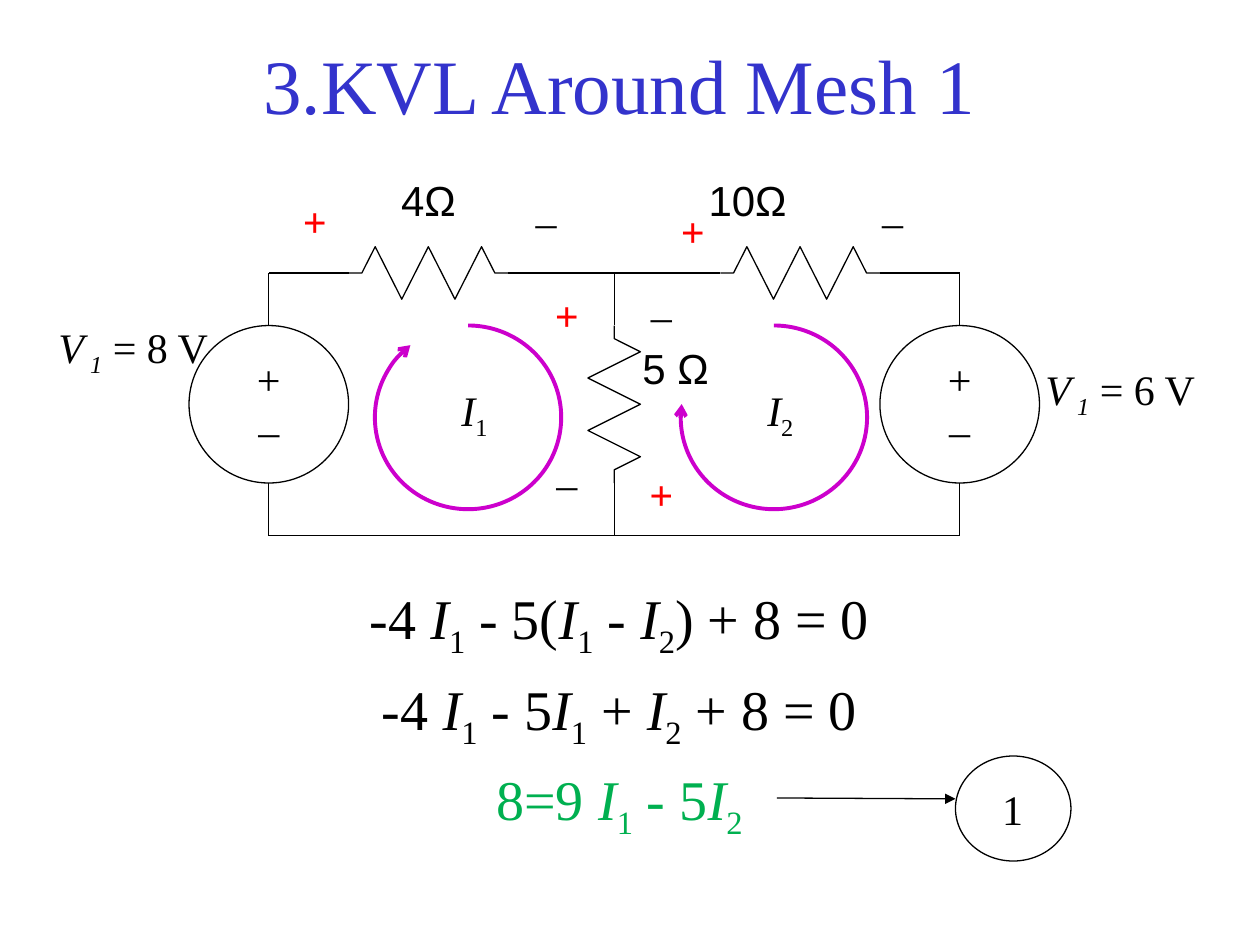
from lxml import etree
from pptx import Presentation
from pptx.dml.color import RGBColor
from pptx.enum.shapes import MSO_CONNECTOR, MSO_SHAPE
from pptx.enum.text import MSO_ANCHOR, MSO_AUTO_SIZE, PP_ALIGN
from pptx.oxml.ns import qn
from pptx.util import Pt

LEFT, CENTER, RIGHT = PP_ALIGN.LEFT, PP_ALIGN.CENTER, PP_ALIGN.RIGHT
MIDDLE, TOP = MSO_ANCHOR.MIDDLE, MSO_ANCHOR.TOP
GROW, FIXED = MSO_AUTO_SIZE.SHAPE_TO_FIT_TEXT, MSO_AUTO_SIZE.NONE
OVAL, ARC, STRAIGHT = MSO_SHAPE.OVAL, MSO_SHAPE.ARC, MSO_CONNECTOR.STRAIGHT
SERIF, SANS = "Times New Roman", "Arial"
BLACK, BLUE, RED, GREEN, PURPLE = "000000", "3333CC", "FF0000", "00B050", "CC00CC"
ITALIC, SUB = "italic", "sub"


def color(hex_value):
    return RGBColor.from_string(hex_value)


class CircuitSlide:
    """Draws circuit parts and formulas on one slide, with lengths in points."""

    def __init__(self, slide, size=24, thin=0.75, thick=2.25):
        self.shapes = slide.shapes
        self.size, self.thin, self.thick = size, thin, thick

    def add_pieces(self, paragraph, pieces, align=CENTER, size=None, font=SERIF, ink=BLACK, bold=False):
        paragraph.alignment = align
        for content, *marks in pieces:
            run = paragraph.add_run()
            run.text = content
            run.font.name, run.font.size = font, Pt(size or self.size)
            run.font.bold, run.font.italic = bold, ITALIC in marks
            run.font.color.rgb = color(ink)
            if SUB in marks:
                run._r.get_or_add_rPr().set("baseline", "-25000")

    def frame(self, left, top, width, height, anchor=TOP, fit=GROW):
        frame = self.shapes.add_textbox(Pt(left), Pt(top), Pt(width), Pt(height)).text_frame
        frame.word_wrap, frame.auto_size, frame.vertical_anchor = True, fit, anchor
        return frame

    def label(self, left, top, width, height, pieces, **style):
        self.add_pieces(self.frame(left, top, width, height).paragraphs[0], pieces, **style)

    def title(self, left, top, width, height, content):
        frame = self.frame(left, top, width, height, MIDDLE, FIXED)
        self.add_pieces(frame.paragraphs[0], [(content,)], size=44, ink=BLUE)

    def equations(self, left, top, width, height, rows):
        frame = self.frame(left, top, width, height, fit=FIXED)
        for index, (pieces, ink) in enumerate(rows):
            paragraph = frame.add_paragraph() if index else frame.paragraphs[0]
            paragraph.space_before = Pt(8)
            self.add_pieces(paragraph, pieces, size=32, ink=ink)

    def outline(self, shape, ink=BLACK, weight=None):
        shape.shadow.inherit = False
        shape.fill.background()
        shape.line.color.rgb = color(ink)
        shape.line.width = Pt(weight or self.thin)

    def arrowhead(self, part, kind):
        etree.SubElement(part.line._get_or_add_ln(), qn("a:tailEnd"), type=kind)

    def wire(self, start, end, head=None):
        points = [Pt(value) for value in (*start, *end)]
        wire = self.shapes.add_connector(STRAIGHT, *points)
        wire.line.color.rgb = color(BLACK)
        wire.line.width = Pt(self.thin)
        if head:
            self.arrowhead(wire, head)
        etree.SubElement(wire._element.spPr, qn("a:effectLst"))

    def resistor(self, x, y, length, upright=False):
        steps = [(0, 0), (1, 0), (2, -15), (4, 15), (6, -15), (8, 15), (10, -15), (11, 0), (12, 0)]
        along = [(length * step / 12, swing) for step, swing in steps]
        points = [(x - b, y + a) if upright else (x + a, y + b) for a, b in along]
        points = [(Pt(a), Pt(b)) for a, b in points]
        builder = self.shapes.build_freeform(*points[0])
        builder.add_line_segments(points[1:], close=False)
        self.outline(builder.convert_to_shape())

    def circle(self, left, top, width, height, lines=()):
        circle = self.shapes.add_shape(OVAL, Pt(left), Pt(top), Pt(width), Pt(height))
        self.outline(circle)
        frame = circle.text_frame
        frame.word_wrap, frame.vertical_anchor = False, MIDDLE
        for index, content in enumerate(lines):
            paragraph = frame.add_paragraph() if index else frame.paragraphs[0]
            self.add_pieces(paragraph, [(content,)])

    def loop(self, left, top, end_angle):
        loop = self.shapes.add_shape(ARC, Pt(left), Pt(top), Pt(106.5), Pt(105))
        loop.adjustments[0], loop.adjustments[1] = 270 * 0.6, end_angle * 0.6
        self.outline(loop, PURPLE, self.thick)
        self.arrowhead(loop, "arrow")


def current(number):
    return [("I", ITALIC), (number, SUB)]


def voltage(value):
    return [("V", ITALIC), (" 1", ITALIC, SUB), (f" = {value} V",)]


def main():
    deck = Presentation()
    deck.slide_width, deck.slide_height = Pt(720), Pt(540)
    page = CircuitSlide(deck.slides.add_slide(deck.slide_layouts[6]))

    page.title(48, 24, 612, 48, "3.KVL Around Mesh 1")
    i1, i2 = current("1"), current("2")
    page.equations(48, 330, 612, 156, [
        ([("-4 ",), *i1, (" - 5(",), *i1, (" - ",), *i2, (") + 8 = 0",)], BLACK),
        ([("-4 ",), *i1, (" - 5",), *i1, (" + ",), *i2, (" + 8 = 0",)], BLACK),
        ([("8=9 ",), *i1, (" - 5",), *i2], GREEN),
    ])

    west, middle, east = 153.6, 351, 548.4
    rail, upper, lower, ground = 156, 186, 276, 306
    part = 91.2
    first, second = 199.2, 411.6
    page.resistor(first, rail, part)
    page.resistor(second, rail, part)
    page.resistor(middle, upper, lower - upper, upright=True)
    for start, end in [(west, first), (first + part, second), (second + part, east)]:
        page.wire((start, rail), (end, rail))
    page.wire((east, ground), (west, ground))
    for x in (west, middle, east):
        page.wire((x, upper), (x, rail))
        page.wire((x, lower), (x, ground))
    for x in (west, east):
        page.circle(x - part / 2, upper, part, lower - upper, ["+", "–"])

    for left, end_angle, pieces in [(214.2, 231.4, i1), (389, 188.2, i2)]:
        page.loop(left, upper, end_angle)
        page.label(left + 30.3, 216, 53.3, 40, pieces)

    page.label(first, 96, part, 36, [("4Ω",)], font=SANS)
    page.label(381.6, 96, part, 36, [("10Ω",)], font=SANS)
    page.label(360, 192, 72, 36, [("5 Ω",)], font=SANS, align=LEFT)
    page.label(24, 180, 102, 40, voltage(8), align=RIGHT)
    page.label(588, 204, 102, 40, voltage(6), align=RIGHT)

    for left, top in [(162, 108), (378, 114), (360, 264), (306, 162)]:
        page.label(left, top, 36, 36, [("+",)], ink=RED, bold=True)
    for left, top in [(294, 108), (492, 108), (360, 162), (306, 258)]:
        page.label(left, top, 36, 36, [("–",)])

    page.wire((444, 456), (546, 456.5), head="triangle")
    page.label(552, 444, 53.3, 36, [("1",)])
    page.circle(546, 432, 66, 60)
    deck.save("out.pptx")


if __name__ == "__main__":
    main()
